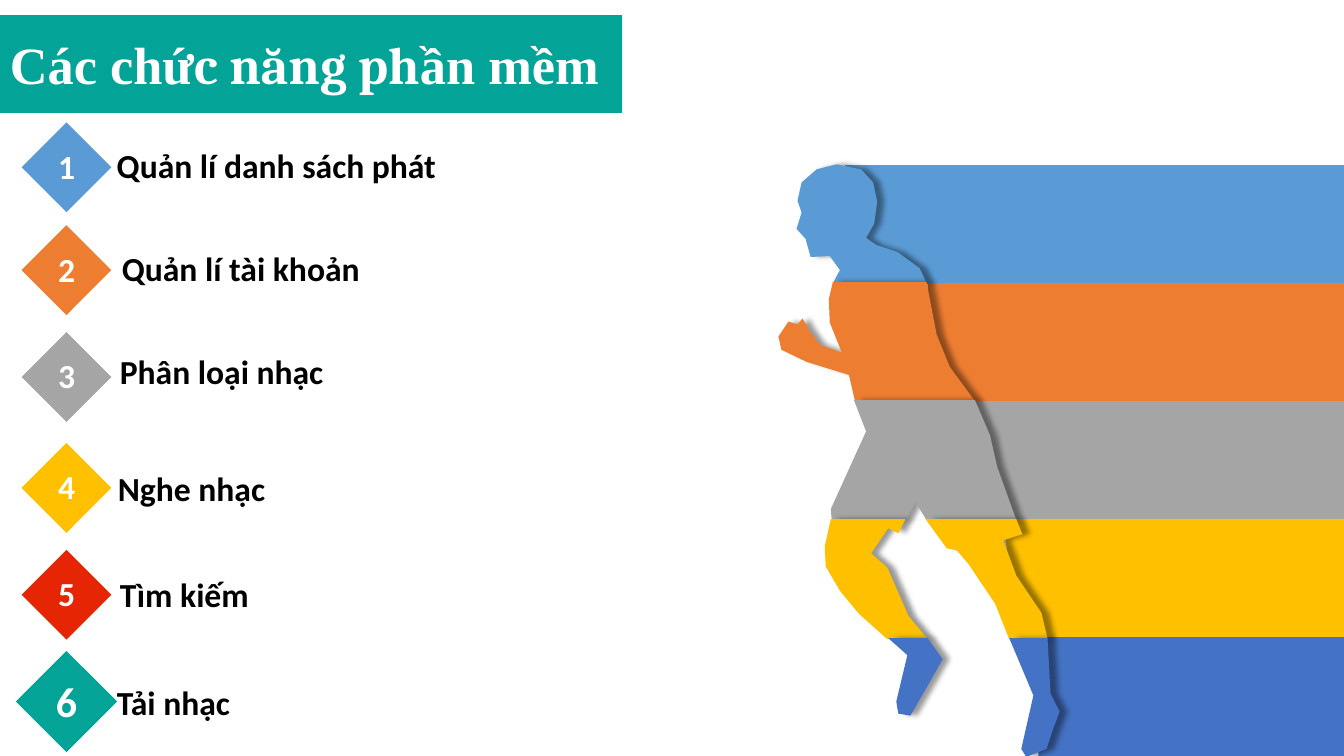
from lxml import etree
from pptx import Presentation
from pptx.dml.color import RGBColor
from pptx.enum.shapes import MSO_SHAPE
from pptx.enum.text import MSO_ANCHOR, PP_ALIGN
from pptx.oxml.ns import qn
from pptx.util import Inches, Pt

RECTANGLE = MSO_SHAPE.RECTANGLE
MIDDLE = MSO_ANCHOR.MIDDLE
LEFT = PP_ALIGN.LEFT
CENTER = PP_ALIGN.CENTER

COLORS = {
    "blue": "5B9BD5", "orange": "ED7D31", "gray": "A5A5A5", "gold": "FFC000",
    "indigo": "4472C4", "red": "E62504", "teal": "03A397",
    "white": "FFFFFF", "black": "000000",
}
PAGE_WIDTH = 13.33
BADGE_CENTER = 0.66
STRIPE_TOP = 1.64
STRIPE_STEP = 1.17
STRIPE_HEIGHT = 1.18

FUNCTIONS = [
    ("Quản lí danh sách phát", "blue", 1.66, 1.06, 1.39, 3.4),
    ("Quản lí tài khoản", "orange", 2.68, 1.11, 2.41, 6.27),
    ("Phân loại nhạc", "gray", 3.74, 1.09, 3.43, 6.88),
    ("Nghe nhạc", "gold", 4.84, 1.07, 4.59, 6.11),
    ("Tìm kiếm", "red", 5.9, 1.09, 5.64, 5.86),
    ("Tải nhạc", "teal", 6.96, 1.06, 6.72, 6.18),
]

STRIPES = [("blue", 8.38, 8.38), ("orange", 9.2, 9.2), ("gray", 9.68, 9.68),
           ("gold", 9.95, 10.1), ("indigo", 10.22, 10.3)]

RUNNER = [
    ("blue", [[(8.3, 1.63), (8.54, 1.68), (8.66, 1.81), (8.7, 2), (8.67, 2.22), (8.59, 2.36),
               (8.69, 2.43), (8.9, 2.5), (9.12, 2.66), (9.19, 2.81), (8.26, 2.81),
               (8.33, 2.68), (8.23, 2.54), (8.04, 2.55), (7.99, 2.37), (7.9, 2.27),
               (7.95, 2.11), (7.91, 1.99), (7.95, 1.81), (8.1, 1.68)]]),
    ("orange", [[(8.26, 2.8), (9.19, 2.8), (9.29, 3.32), (9.42, 3.64), (9.67, 3.98),
                 (8.48, 3.98), (8.42, 3.72), (8, 3.59), (7.75, 3.47), (7.72, 3.34),
                 (7.82, 3.19), (7.91, 3.22), (7.96, 3.16), (8.02, 3.27), (8.13, 3.42),
                 (8.35, 3.5), (8.23, 3.2), (8.22, 2.97)]]),
    ("gray", [[(9.67, 3.97), (9.82, 4.32), (9.89, 4.63), (10.08, 5.16), (9.19, 5.16),
               (9.08, 4.98), (8.98, 5.16), (8.25, 5.16), (8.24, 5.05), (8.59, 4.28),
               (8.47, 3.97)]]),
    ("gold", [[(9.18, 5.15), (10.08, 5.15), (10.14, 5.3), (9.95, 5.36), (10.08, 5.71),
               (10.33, 6.08), (10.39, 6.34), (10.01, 6.34), (9.87, 5.99), (9.61, 5.6),
               (9.49, 5.46), (9.39, 5.44)],
              [(8.98, 5.15), (8.91, 5.29), (8.81, 5.24), (8.64, 5.49), (8.8, 5.63),
               (9.01, 6.11), (9.2, 6.34), (8.8, 6.34), (8.52, 6.09), (8.33, 5.86),
               (8.19, 5.62), (8.18, 5.42), (8.24, 5.15)]]),
    ("indigo", [[(10.01, 6.33), (10.39, 6.33), (10.42, 6.88), (10.51, 7.06), (10.45, 7.22),
                 (10.38, 7.43), (10.18, 7.51), (10.13, 7.43), (10.25, 6.9)],
                [(9.2, 6.33), (9.35, 6.54), (9.22, 6.77), (9.03, 7.1), (8.91, 7.08),
                 (8.89, 6.96), (9, 6.5), (8.81, 6.33)]]),
]


def color(name):
    return RGBColor.from_string(COLORS[name])


def paint(shape, fill):
    shape.shadow.inherit = False
    shape.fill.solid()
    shape.fill.fore_color.rgb = color(fill)
    shape.line.fill.background()


def add_outline(shapes, fill, contours):
    first, *others = [[(Inches(x), Inches(y)) for x, y in contour] for contour in contours]
    builder = shapes.build_freeform(*first[0])
    builder.add_line_segments(first[1:])
    for points in others:
        builder.move_to(*points[0])
        builder.add_line_segments(points[1:])
    outline = builder.convert_to_shape()
    paint(outline, fill)
    return outline


def add_stripe(page, index, fill, upper_left, lower_left):
    top = STRIPE_TOP + index * STRIPE_STEP
    bottom = top + STRIPE_HEIGHT
    add_outline(page.shapes, fill, [[(upper_left, top), (PAGE_WIDTH, top),
                                     (PAGE_WIDTH, bottom), (lower_left, bottom)]])


def cast_shadow(shape):
    effects = shape._element.spPr.find(qn("a:effectLst"))
    shadow = etree.SubElement(effects, qn("a:outerShdw"), blurRad=str(Pt(4)), dist=str(Pt(5)),
                              dir="0", algn="l", rotWithShape="0")
    tint = etree.SubElement(shadow, qn("a:srgbClr"), val=COLORS["black"])
    etree.SubElement(tint, qn("a:alpha"), val="40000")


def add_label(shapes, text, left, top, width, height, size, ink, align):
    box = shapes.add_textbox(Inches(left), Inches(top), Inches(width), Inches(height))
    box.text_frame.word_wrap = True
    para = box.text_frame.paragraphs[0]
    para.text = text
    para.alignment = align
    para.font.name = "Calibri"
    para.font.size = Pt(size)
    para.font.bold = True
    para.font.color.rgb = color(ink)


def add_badge(page, number, fill, middle, side, size):
    shapes = page.shapes.add_group_shape().shapes
    left, top = BADGE_CENTER - side / 2, middle - side / 2
    diamond = shapes.add_shape(RECTANGLE, Inches(left), Inches(top), Inches(side), Inches(side))
    diamond.rotation = 315
    paint(diamond, fill)
    add_label(shapes, str(number), left + 0.02, top + 0.05, side - 0.04, side - 0.12,
              size, "white", CENTER)


def add_title(page):
    banner = page.shapes.add_shape(RECTANGLE, 0, Inches(0.15), Inches(6.17), Inches(0.97))
    paint(banner, "teal")
    banner.text_frame.vertical_anchor = MIDDLE
    para = banner.text_frame.paragraphs[0]
    para.alignment = LEFT
    para.font.size = Pt(37.4)
    para.font.bold = True
    para.font.color.rgb = color("white")
    for text, font in (("Các chứ", "Times New Roman"), ("c năng ph", "Cambria"),
                       ("ần mềm", "Times New Roman")):
        span = para.add_run()
        span.text = text
        span.font.name = font


def main():
    deck = Presentation()
    deck.slide_width, deck.slide_height = Inches(PAGE_WIDTH), Inches(7.5)
    page = deck.slides.add_slide(deck.slide_layouts[6])
    for index, stripe in enumerate(STRIPES):
        add_stripe(page, index, *stripe)
    runner = page.shapes.add_group_shape()
    for fill, contours in RUNNER:
        cast_shadow(add_outline(runner.shapes, fill, contours))
    add_title(page)
    for number, (text, fill, middle, *place) in enumerate(FUNCTIONS, 1):
        side, size = (0.71, 30) if number == len(FUNCTIONS) else (0.63, 24)
        add_badge(page, number, fill, middle, side, size)
        add_label(page.shapes, text, *place, 0.5, 24, "black", LEFT)
    deck.save("out.pptx")


if __name__ == "__main__":
    main()
